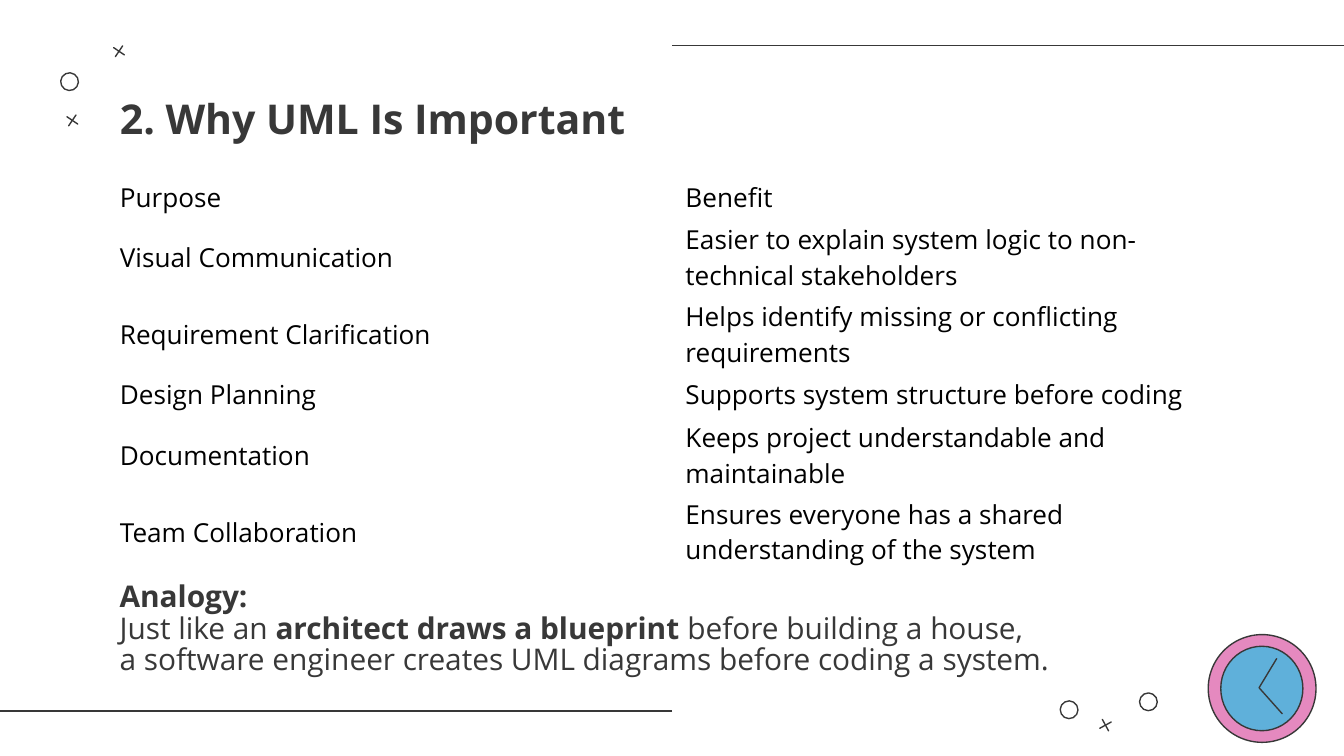
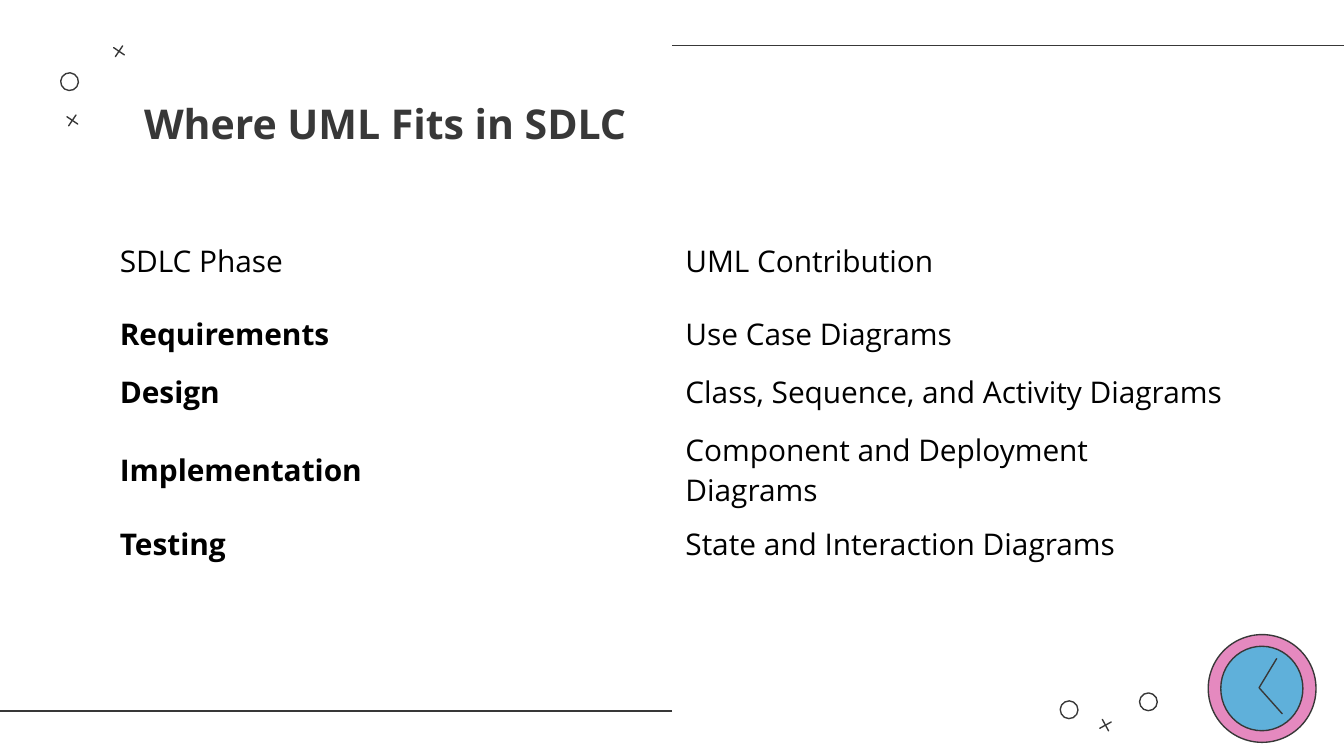
from dataclasses import dataclass
from typing import NamedTuple

from lxml.etree import SubElement
from pptx import Presentation
from pptx.dml.color import RGBColor
from pptx.enum.shapes import MSO_CONNECTOR, MSO_SHAPE
from pptx.enum.text import MSO_ANCHOR, MSO_AUTO_SIZE, PP_ALIGN
from pptx.oxml.ns import qn
from pptx.util import Pt

COLORS = {
    "ink": "383838",
    "black": "000000",
    "white": "FFFFFF",
    "pink": "E589BF",
    "blue": "5FB0DA",
}
FONT = "Open Sans"
WIDTH, HEIGHT = 720, 405
LEFT, COLUMN = 57, 303
LINE = 0.75
MARKER = 9.5
NO_TABLE_STYLE = "{2D5ABB26-0587-4C30-8999-92F81FD0307C}"


class Rule(NamedTuple):
    start: float
    end: float
    y: float


class Marker(NamedTuple):
    kind: MSO_SHAPE
    x: float
    y: float
    rotation: float


class Disc(NamedTuple):
    x: float
    y: float
    width: float
    height: float
    color: str


class Piece(NamedTuple):
    text: str
    bold: bool = False


@dataclass
class Grid:
    top: float
    size: float
    margin: float
    heights: list[float]
    rows: list[tuple[str, str]]
    bold_phases: bool = False


@dataclass
class Page:
    title: str
    title_x: float
    title_y: float
    grid: Grid
    note: tuple[tuple[Piece, ...], ...] = ()


RULES = [Rule(WIDTH, WIDTH / 2, 24.25), Rule(WIDTH / 2, 0, 381)]
MARKERS = [
    Marker(MSO_SHAPE.OVAL, 32.5, 39, 34.1),
    Marker(MSO_SHAPE.MATH_PLUS, 34, 59.75, 34.1),
    Marker(MSO_SHAPE.MATH_PLUS, 59, 22.75, 34.1),
    Marker(MSO_SHAPE.OVAL, 568, 375.5, 331.3),
    Marker(MSO_SHAPE.MATH_PLUS, 587.5, 383.75, 331.3),
    Marker(MSO_SHAPE.OVAL, 610.5, 371.25, 331.3),
]
CLOCK_DISCS = [
    Disc(647.25, 340, 57.75, 57.75, "pink"),
    Disc(654, 346.25, 44, 45.25, "blue"),
]
CLOCK_HANDS = [(684, 352.75), (674.5, 368.5), (687, 382.5)]

PAGES = [
    Page(
        "2. Why UML Is Important", LEFT, 42.5,
        Grid(93.5, 14, 1, [24, 41, 41, 24, 41, 41], [
            ("Purpose", "Benefit"),
            ("Visual Communication",
             "Easier to explain system logic to non-technical stakeholders"),
            ("Requirement Clarification",
             "Helps identify missing or conflicting requirements"),
            ("Design Planning", "Supports system structure before coding"),
            ("Documentation", "Keeps project understandable and maintainable"),
            ("Team Collaboration",
             "Ensures everyone has a shared understanding of the system"),
        ]),
        (
            (Piece("Analogy:", True),),
            (
                Piece("Just like an "),
                Piece("architect draws a blueprint", True),
                Piece(" before building a house,\n"
                      "a software engineer creates UML diagrams before coding a system."),
            ),
        ),
    ),
    Page(
        "Where UML Fits in SDLC", 70, 44.75,
        Grid(115.25, 16, 3.6, [49, 29.5, 32.5, 51, 27], [
            ("SDLC Phase", "UML Contribution"),
            ("Requirements", "Use Case Diagrams"),
            ("Design", "Class, Sequence, and Activity Diagrams"),
            ("Implementation", "Component and Deployment Diagrams"),
            ("Testing", "State and Interaction Diagrams"),
        ], bold_phases=True),
    ),
]


def rgb(name: str) -> RGBColor:
    return RGBColor.from_string(COLORS[name])


def add_run(p, text: str, size: float, color: str, bold: bool) -> None:
    r = p.add_run()
    r.text = text
    r.font.name = FONT
    r.font.size = Pt(size)
    r.font.bold = bold
    r.font.color.rgb = rgb(color)


def style_shape(sp, fill: str | None = None) -> None:
    sp.shadow.inherit = False
    if fill:
        sp.fill.solid()
        sp.fill.fore_color.rgb = rgb(fill)
    else:
        sp.fill.background()
    sp.line.color.rgb = rgb("ink")
    sp.line.width = Pt(LINE)


def draw_rules(s) -> None:
    group = s.shapes.add_group_shape().shapes
    for rule in RULES:
        line = group.add_connector(
            MSO_CONNECTOR.STRAIGHT,
            Pt(rule.start), Pt(rule.y), Pt(rule.end), Pt(rule.y))
        line.line.color.rgb = rgb("ink")
        line.line.width = Pt(LINE)
        SubElement(line._element.spPr, qn("a:effectLst"))


def draw_markers(s) -> None:
    group = s.shapes.add_group_shape().shapes
    for marker in MARKERS:
        sp = group.add_shape(
            marker.kind, Pt(marker.x), Pt(marker.y), Pt(MARKER), Pt(MARKER))
        if marker.kind == MSO_SHAPE.MATH_PLUS:
            sp.adjustments[0] = 0
        sp.rotation = marker.rotation
        style_shape(sp)


def draw_clock(s) -> None:
    group = s.shapes.add_group_shape().shapes
    for disc in CLOCK_DISCS:
        sp = group.add_shape(
            MSO_SHAPE.OVAL,
            Pt(disc.x), Pt(disc.y), Pt(disc.width), Pt(disc.height))
        style_shape(sp, disc.color)
    points = [(Pt(x), Pt(y)) for x, y in CLOCK_HANDS]
    builder = group.build_freeform(*points[0])
    builder.add_line_segments(points[1:], close=False)
    style_shape(builder.convert_to_shape())


def set_title(s, page: Page) -> None:
    sp = s.shapes.title
    sp.left, sp.top = Pt(page.title_x), Pt(page.title_y)
    sp.width, sp.height = Pt(2 * COLUMN), Pt(45.25)
    tf = sp.text_frame
    tf.auto_size = MSO_AUTO_SIZE.NONE
    tf.vertical_anchor = MSO_ANCHOR.MIDDLE
    tf.margin_left = tf.margin_right = tf.margin_top = tf.margin_bottom = Pt(7.2)
    p = tf.paragraphs[0]
    p.alignment = PP_ALIGN.LEFT
    p.line_spacing = 0.9
    add_run(p, page.title, 22, "ink", True)


def draw_grid(s, grid: Grid) -> None:
    frame = s.shapes.add_table(
        len(grid.rows), 2,
        Pt(LEFT), Pt(grid.top), Pt(2 * COLUMN), Pt(sum(grid.heights)))
    table = frame.table
    table._tbl.tblPr.find(qn("a:tableStyleId")).text = NO_TABLE_STYLE
    table.first_row = table.horz_banding = False
    for column in table.columns:
        column.width = Pt(COLUMN)
    for i, (height, texts) in enumerate(zip(grid.heights, grid.rows)):
        table.rows[i].height = Pt(height)
        for j, text in enumerate(texts):
            cell = table.cell(i, j)
            cell.fill.background()
            cell.vertical_anchor = MSO_ANCHOR.MIDDLE
            cell.margin_top = cell.margin_bottom = Pt(grid.margin)
            bold = grid.bold_phases and i > 0 and j == 0
            add_run(cell.text_frame.paragraphs[0], text, grid.size, "black", bold)


def draw_note(s, note: tuple[tuple[Piece, ...], ...]) -> None:
    sp = s.shapes.add_textbox(Pt(LEFT), Pt(304.5), Pt(579.5), Pt(65.5))
    tf = sp.text_frame
    tf.word_wrap = True
    tf.vertical_anchor = MSO_ANCHOR.MIDDLE
    for i, pieces in enumerate(note):
        p = tf.add_paragraph() if i else tf.paragraphs[0]
        p.line_spacing = 0.88
        for piece in pieces:
            for k, text in enumerate(piece.text.split("\n")):
                if k:
                    p.add_line_break()
                add_run(p, text, 16, "ink", piece.bold)


def build_page(prs, page: Page) -> None:
    s = prs.slides.add_slide(prs.slide_layouts[5])
    s.background.fill.solid()
    s.background.fill.fore_color.rgb = rgb("white")
    set_title(s, page)
    draw_rules(s)
    draw_markers(s)
    draw_clock(s)
    if page.note:
        draw_note(s, page.note)
    draw_grid(s, page.grid)


def main() -> None:
    prs = Presentation()
    prs.slide_width, prs.slide_height = Pt(WIDTH), Pt(HEIGHT)
    for page in PAGES:
        build_page(prs, page)
    prs.save("out.pptx")


if __name__ == "__main__":
    main()
